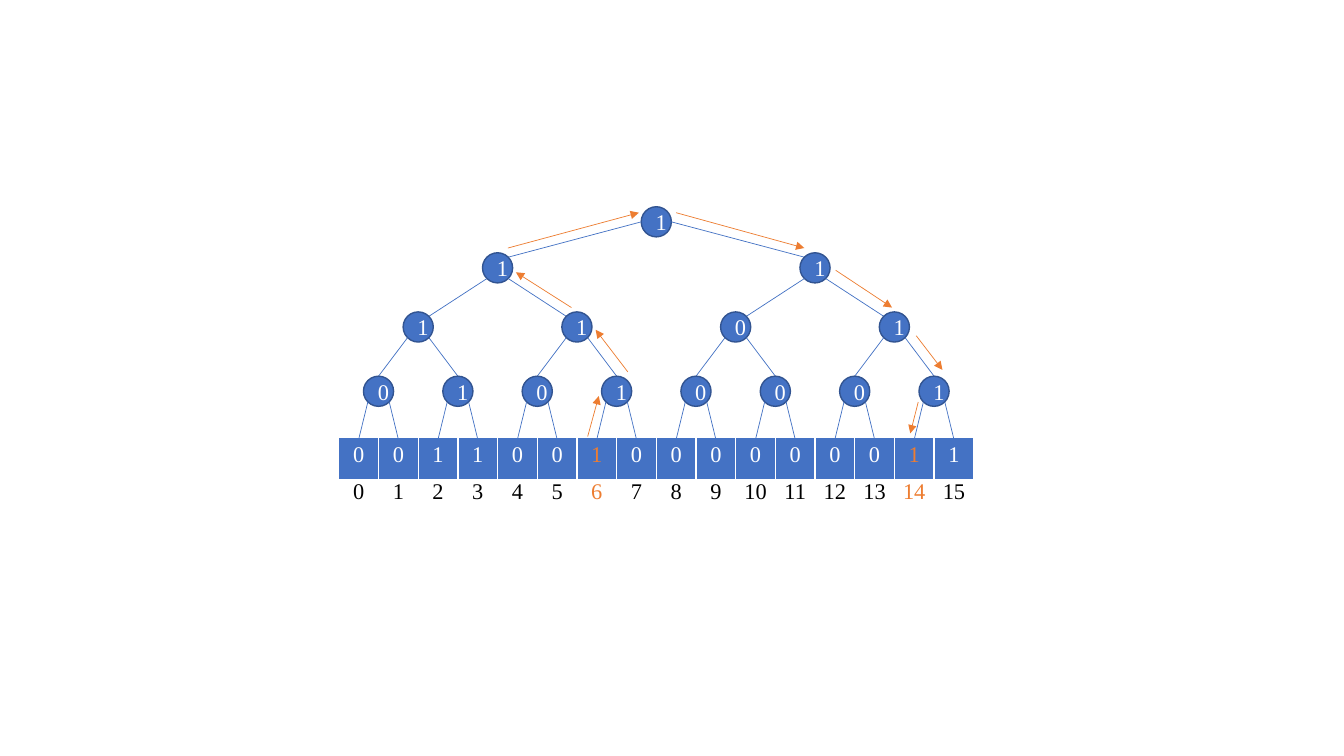
"""Draw a bitmap with a tree of summary bits and the search path from 6 to 14."""
from lxml.etree import SubElement
from pptx import Presentation
from pptx.dml.color import RGBColor
from pptx.enum.shapes import MSO_CONNECTOR, MSO_SHAPE
from pptx.enum.text import MSO_ANCHOR, PP_ALIGN
from pptx.oxml.ns import qn
from pptx.util import Cm, Pt

BLUE = RGBColor(0x44, 0x72, 0xC4)
DARK_BLUE = RGBColor(0x32, 0x54, 0x91)
ORANGE = RGBColor(0xED, 0x7D, 0x31)
WHITE = RGBColor(0xFF, 0xFF, 0xFF)
BLACK = RGBColor(0, 0, 0)
NO_STYLE = "{2D5ABB26-0587-4C30-8999-92F81FD0307C}"

BITS = [0, 0, 1, 1, 0, 0, 1, 0, 0, 0, 0, 0, 0, 0, 1, 1]
MARKED = (6, 14)
LEFT, TOP, CELL, ROW = 8.54, 11.03, 1.0, 1.03
RADIUS, DIAGONAL = 0.38, 0.27
LEVEL_Y = [5.59, 6.75, 8.24, 9.86, 11.07]
EDGE_STARTS = [(RADIUS, 0)] + [(DIAGONAL, DIAGONAL)] * 3
EDGE_ENDS = [(DIAGONAL, -DIAGONAL)] * 2 + [(0, -RADIUS), (0, 0)]
ARROWS = [
    (14.81, 11.0, 15.09, 9.98),
    (15.82, 9.37, 15.01, 8.31),
    (14.4, 7.75, 13.0, 6.86),
    (12.8, 6.25, 16.1, 5.36),
    (17.04, 5.36, 20.27, 6.25),
    (21.06, 6.81, 22.48, 7.75),
    (23.09, 8.46, 23.75, 9.32),
    (23.14, 10.13, 22.94, 10.92),
]


def add_line(x1, y1, x2, y2, color, arrow=False):
    c = s.shapes.add_connector(MSO_CONNECTOR.STRAIGHT, Cm(x1), Cm(y1), Cm(x2), Cm(y2))
    c.line.color.rgb = color
    c.line.width = Pt(0.5)
    if arrow:
        SubElement(c.line._get_or_add_ln(), qn("a:tailEnd"), type="triangle")
    SubElement(c._element.spPr, qn("a:effectLst"))


def write(tf, value, color):
    p = tf.paragraphs[0]
    p.text = str(value)
    p.alignment = PP_ALIGN.CENTER
    p.font.name = "Times New Roman"
    p.font.size = Pt(16)
    p.font.color.rgb = color


prs = Presentation()
prs.slide_width, prs.slide_height = Cm(33.87), Cm(19.05)
s = prs.slides.add_slide(prs.slide_layouts[6])

count = len(BITS)
frame = s.shapes.add_table(2, count, Cm(LEFT), Cm(TOP), Cm(CELL * count), Cm(2 * ROW))
table = frame.table
table.first_row = table.horz_banding = False
table._tbl.tblPr.find(qn("a:tableStyleId")).text = NO_STYLE
for row in table.rows:
    row.height = Cm(ROW)
for i, bit in enumerate(BITS):
    table.columns[i].width = Cm(CELL)
    bit_cell, index_cell = table.cell(0, i), table.cell(1, i)
    for side in ("a:lnL", "a:lnR"):
        ln = SubElement(bit_cell._tc.get_or_add_tcPr(), qn(side), w=str(Pt(1)))
        SubElement(SubElement(ln, qn("a:solidFill")), qn("a:srgbClr"), val=str(WHITE))
    bit_cell.fill.solid()
    bit_cell.fill.fore_color.rgb = BLUE
    write(bit_cell.text_frame, bit, ORANGE if i in MARKED else WHITE)
    index_cell.fill.background()
    index_cell.margin_left = index_cell.margin_right = index_cell.margin_bottom = 0
    index_cell.margin_top = Cm(0.02)
    write(index_cell.text_frame, i, ORANGE if i in MARKED else BLACK)

for level, y in enumerate(LEVEL_Y[:-1]):
    span = count // 2 ** level
    (start_dx, start_dy), (end_dx, end_dy) = EDGE_STARTS[level], EDGE_ENDS[level]
    for first in range(0, count, span):
        x = LEFT + (first + span / 2) * CELL
        node = s.shapes.add_shape(MSO_SHAPE.OVAL, Cm(x - RADIUS), Cm(y - RADIUS),
                                  Cm(2 * RADIUS), Cm(2 * RADIUS))
        node.shadow.inherit = False
        node.fill.solid()
        node.fill.fore_color.rgb = BLUE
        node.line.color.rgb = DARK_BLUE
        node.line.width = Pt(1)
        node.text_frame.vertical_anchor = MSO_ANCHOR.MIDDLE
        write(node.text_frame, max(BITS[first:first + span]), WHITE)
        for side in (-1, 1):
            child_x = x + side * span / 4 * CELL
            add_line(x + side * start_dx, y + start_dy,
                     child_x - side * end_dx, LEVEL_Y[level + 1] + end_dy, BLUE)

for arrow in ARROWS:
    add_line(*arrow, ORANGE, arrow=True)

prs.save("out.pptx")
